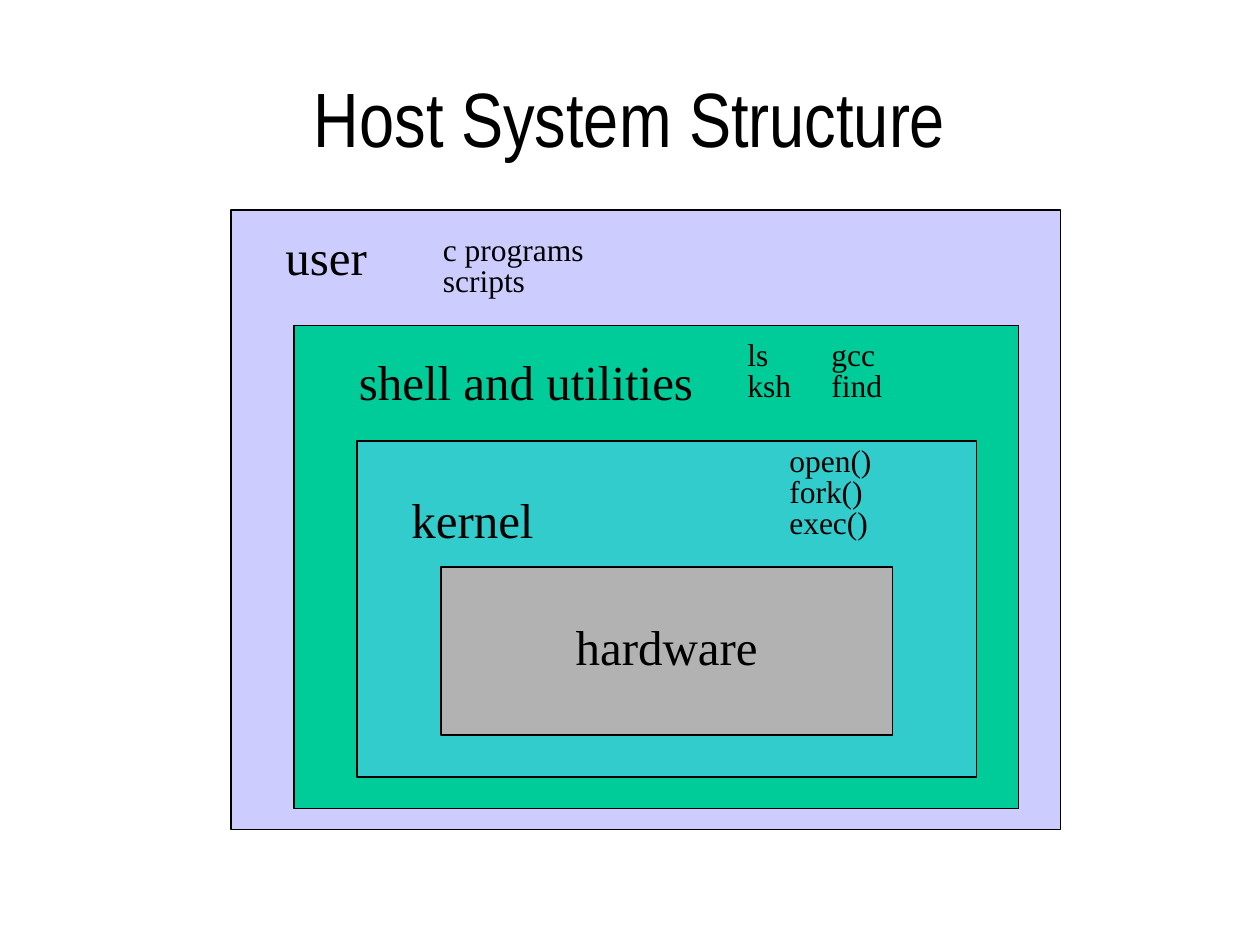
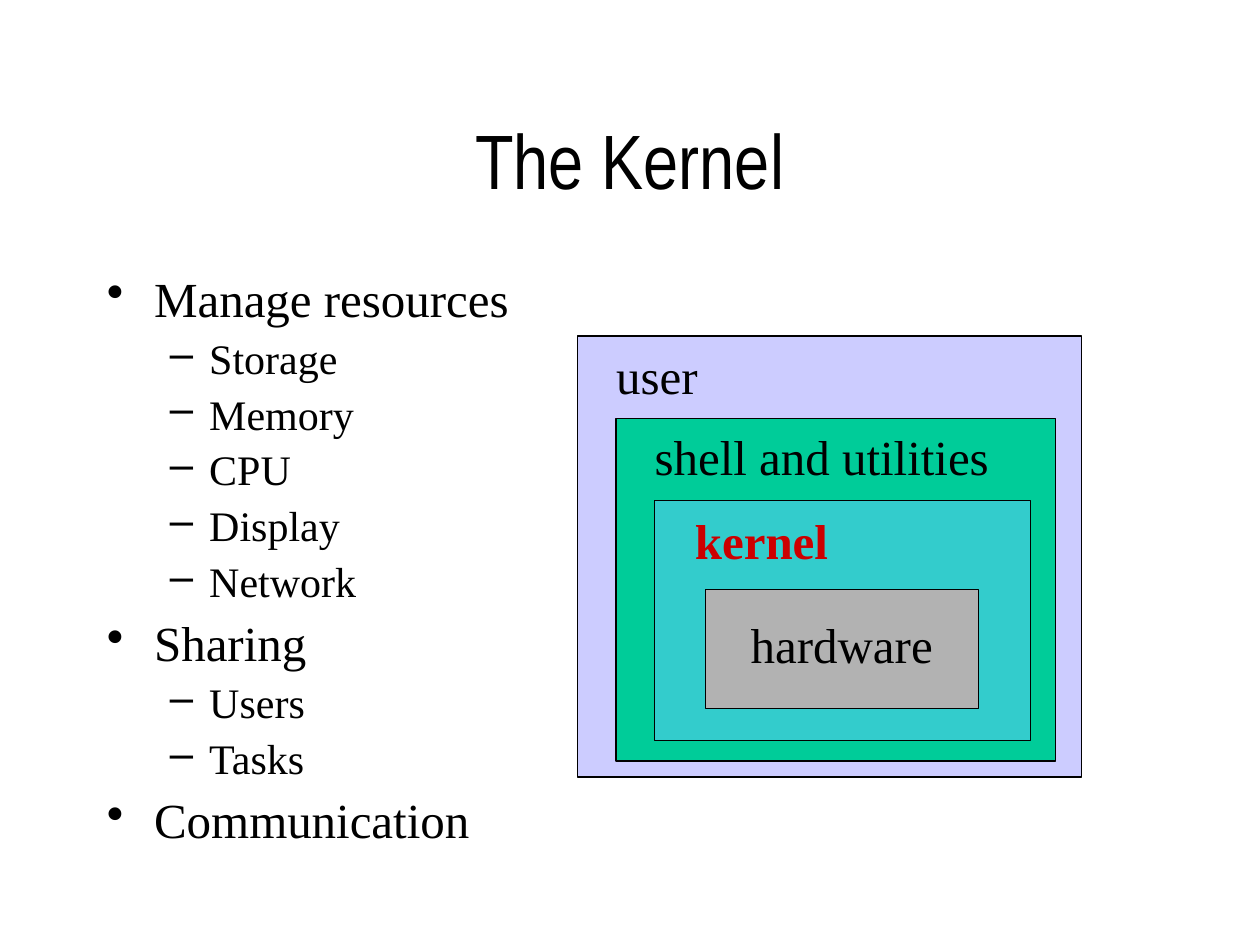
from dataclasses import dataclass
from typing import NamedTuple

from lxml import etree
from pptx import Presentation
from pptx.dml.color import RGBColor
from pptx.enum import shapes, text
from pptx.oxml import ns
from pptx.slide import Slide
from pptx.text.text import TextFrame
from pptx.util import Pt


@dataclass(frozen=True)
class Theme:
    ink: RGBColor = RGBColor(0x00, 0x00, 0x00)
    highlight: RGBColor = RGBColor(0xCC, 0x00, 0x00)
    user: RGBColor = RGBColor(0xCC, 0xCC, 0xFF)
    shell: RGBColor = RGBColor(0x00, 0xCC, 0x99)
    kernel: RGBColor = RGBColor(0x33, 0xCC, 0xCC)
    hardware: RGBColor = RGBColor(0xB2, 0xB2, 0xB2)
    title_font: str = "Arial Narrow"
    body_font: str = "Times New Roman"
    title_size: int = 44
    label_size: int = 28
    sub_size: int = 24
    note_size: int = 18
    title_spacing: float = 0.97
    label_spacing: float = 0.82
    list_spacing: float = 0.9
    outline: float = 0.75


THEME = Theme()
LABEL_HEIGHT = 35


class Box(NamedTuple):
    """Left, top, width and height in points."""
    left: float
    top: float
    width: float
    height: float

    def lengths(self) -> tuple[Pt, ...]:
        return tuple(Pt(value) for value in self)


class Layer(NamedTuple):
    name: str
    fill: RGBColor
    box: Box
    label: Box
    highlighted: bool = False
    centred: bool = False


class Note(NamedTuple):
    wording: str
    box: Box


class BulletStyle(NamedTuple):
    mark: str
    size: int
    margin: float
    hanging: float
    space_before: float


BULLETS = (
    BulletStyle("•", THEME.label_size, 27, 27, 7),
    BulletStyle("–", THEME.sub_size, 58.5, 22.5, 6),
)

KERNEL_DUTIES = (
    (0, "Manage resources"),
    (1, "Storage"),
    (1, "Memory"),
    (1, "CPU"),
    (1, "Display"),
    (1, "Network"),
    (0, "Sharing"),
    (1, "Users"),
    (1, "Tasks"),
    (0, "Communication"),
)

SYSTEM_NOTES = (
    Note("c programs\nscripts", Box(246, 132, 102, 42)),
    Note("ls\nksh", Box(420, 192, 66, 42)),
    Note("gcc\nfind", Box(468, 192, 66, 42)),
    Note("open()\nfork()\nexec()", Box(444, 252, 66, 60)),
)


def system_layers(boxes: tuple[Box, ...], label_corners: tuple[tuple[float, float], ...],
                  kernel_highlighted: bool = False) -> list[Layer]:
    """Nest user, shell, kernel and hardware; the hardware label sits mid-box."""
    user, shell, kernel, hardware = boxes
    user_label, shell_label, kernel_label = (
        Box(left, top, width, LABEL_HEIGHT)
        for (left, top), width in zip(label_corners, (66, 212, 120)))
    middle = hardware.top + (hardware.height - LABEL_HEIGHT) / 2
    hardware_label = Box(hardware.left, middle, hardware.width, LABEL_HEIGHT)
    return [
        Layer("user", THEME.user, user, user_label),
        Layer("shell and utilities", THEME.shell, shell, shell_label),
        Layer("kernel", THEME.kernel, kernel, kernel_label, highlighted=kernel_highlighted),
        Layer("hardware", THEME.hardware, hardware, hardware_label, centred=True),
    ]


def add_text_frame(slide: Slide, box: Box, anchor=text.MSO_ANCHOR.TOP) -> TextFrame:
    frame = slide.shapes.add_textbox(*box.lengths()).text_frame
    frame.word_wrap = True
    frame.vertical_anchor = anchor
    return frame


def style_paragraph(paragraph, size: int, spacing: float, font: str = THEME.body_font,
                    colour: RGBColor = THEME.ink, bold: bool = False,
                    centred: bool = False) -> None:
    paragraph.line_spacing = spacing
    paragraph.alignment = text.PP_ALIGN.CENTER if centred else text.PP_ALIGN.LEFT
    paragraph.font.name = font
    paragraph.font.size = Pt(size)
    paragraph.font.bold = bold
    paragraph.font.color.rgb = colour


def add_title(slide: Slide, wording: str, top: float) -> None:
    frame = add_text_frame(slide, Box(54, top, 612, 90), text.MSO_ANCHOR.MIDDLE)
    paragraph = frame.paragraphs[0]
    paragraph.text = wording
    style_paragraph(paragraph, THEME.title_size, THEME.title_spacing,
                    font=THEME.title_font, centred=True)


def add_layer(slide: Slide, layer: Layer) -> None:
    shape = slide.shapes.add_shape(shapes.MSO_SHAPE.RECTANGLE, *layer.box.lengths())
    shape.shadow.inherit = False
    shape.fill.solid()
    shape.fill.fore_color.rgb = layer.fill
    shape.line.color.rgb = THEME.ink
    shape.line.width = Pt(THEME.outline)

    anchor = text.MSO_ANCHOR.MIDDLE if layer.centred else text.MSO_ANCHOR.TOP
    paragraph = add_text_frame(slide, layer.label, anchor).paragraphs[0]
    paragraph.text = layer.name
    style_paragraph(paragraph, THEME.label_size, THEME.label_spacing,
                    colour=THEME.highlight if layer.highlighted else THEME.ink,
                    bold=layer.highlighted, centred=layer.centred)


def add_note(slide: Slide, note: Note) -> None:
    paragraph = add_text_frame(slide, note.box).paragraphs[0]
    paragraph.text = note.wording
    style_paragraph(paragraph, THEME.note_size, THEME.label_spacing)


def add_bullet_list(slide: Slide, box: Box, items: tuple[tuple[int, str], ...]) -> None:
    frame = add_text_frame(slide, box)
    for index, (level, wording) in enumerate(items):
        first = index == 0
        paragraph = frame.paragraphs[0] if first else frame.add_paragraph()
        paragraph.text = wording
        paragraph.level = level
        bullet = BULLETS[level]
        if not first:
            paragraph.space_before = Pt(bullet.space_before)
        properties = paragraph._p.get_or_add_pPr()
        properties.set("marL", str(Pt(bullet.margin)))
        properties.set("indent", str(-Pt(bullet.hanging)))
        etree.SubElement(properties, ns.qn("a:buChar"), char=bullet.mark)
        style_paragraph(paragraph, bullet.size,
                        THEME.label_spacing if first else THEME.list_spacing)


def build_structure_slide(slide: Slide) -> None:
    add_title(slide, "Host System Structure", top=24)
    layers = system_layers(
        boxes=(Box(132, 120, 474, 354), Box(168, 186, 414, 276),
               Box(204, 252, 354, 192), Box(252, 324, 258, 96)),
        label_corners=((156, 132), (198, 203), (228, 282)))
    for layer in layers:
        add_layer(slide, layer)
    for note in SYSTEM_NOTES:
        add_note(slide, note)


def build_kernel_slide(slide: Slide) -> None:
    add_title(slide, "The Kernel", top=48)
    add_bullet_list(slide, Box(54, 156, 612, 380), KERNEL_DUTIES)
    layers = system_layers(
        boxes=(Box(330, 192, 288, 252), Box(352, 239, 251, 196),
               Box(374, 286, 215, 137), Box(403, 337, 156, 68)),
        label_corners=((345, 200), (367, 246), (390, 294)),
        kernel_highlighted=True)
    for layer in layers:
        add_layer(slide, layer)


def main() -> None:
    presentation = Presentation()
    presentation.slide_width, presentation.slide_height = Pt(720), Pt(540)
    blank_layout = presentation.slide_layouts[6]
    for build in (build_structure_slide, build_kernel_slide):
        build(presentation.slides.add_slide(blank_layout))
    presentation.save("out.pptx")


if __name__ == "__main__":
    main()
